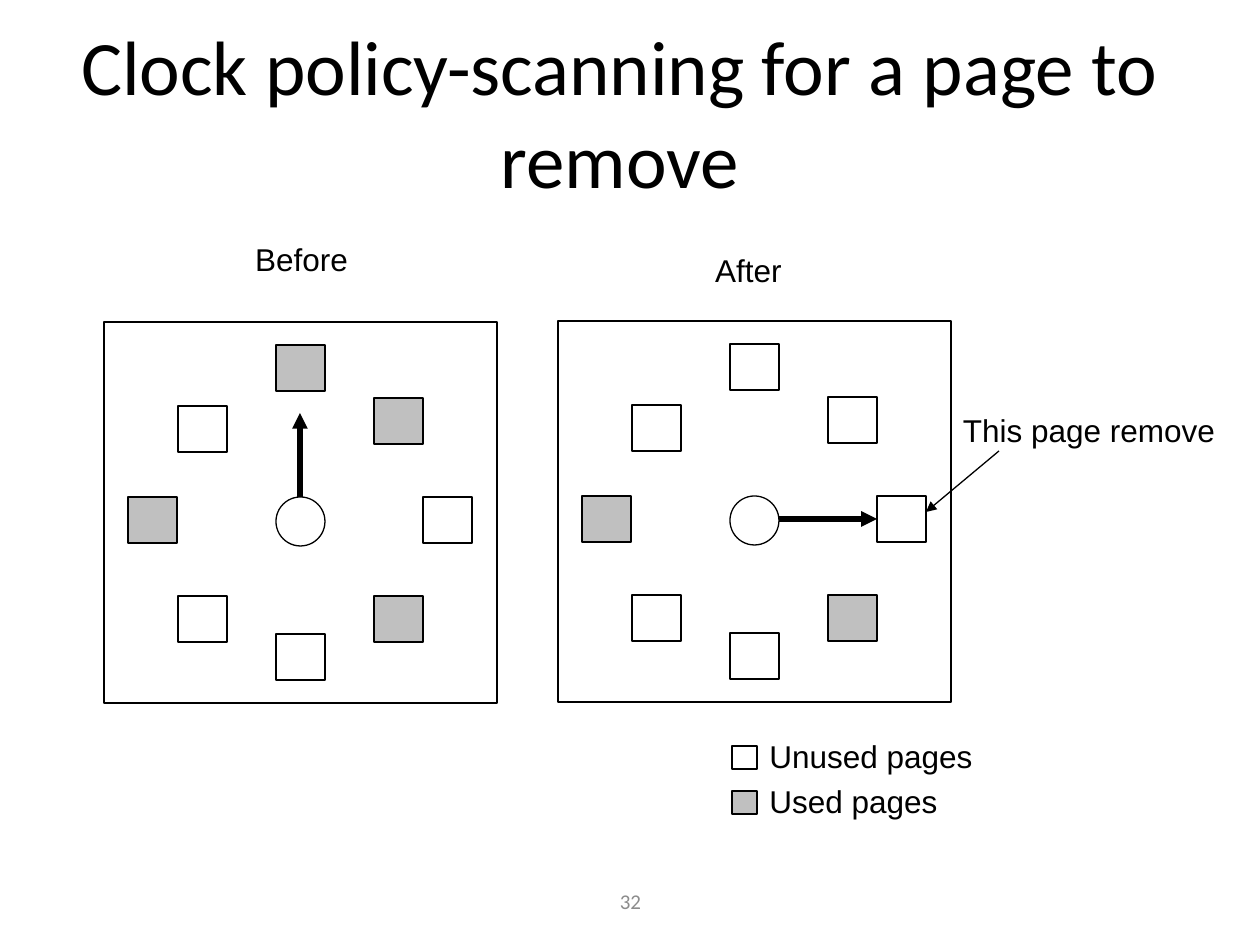
"""Draw the clock policy slide: page rings before and after a scan."""
from dataclasses import dataclass
from typing import NamedTuple

from lxml.etree import SubElement
from pptx import Presentation
from pptx.dml.color import RGBColor
from pptx.enum.shapes import MSO_CONNECTOR, MSO_SHAPE
from pptx.enum.text import MSO_ANCHOR, PP_ALIGN
from pptx.oxml.ns import qn
from pptx.shapes.autoshape import Shape
from pptx.shapes.connector import Connector
from pptx.shapes.shapetree import SlideShapes
from pptx.util import Emu, Pt

SCALE = 914400 / 126


class Box(NamedTuple):
    left: int
    top: int
    width: int
    height: int


class Spot(NamedTuple):
    x: int
    y: int


@dataclass(frozen=True)
class Theme:
    ink: RGBColor = RGBColor(0, 0, 0)
    used: RGBColor = RGBColor(0xC0, 0xC0, 0xC0)
    unused: RGBColor = RGBColor(0xFF, 0xFF, 0xFF)
    faint: RGBColor = RGBColor(0x8C, 0x8C, 0x8C)
    head: str = "Calibri"
    body: str = "Arial"
    title: float = 44
    label: float = 18
    number: float = 12
    thin: float = 0.75
    thick: float = 3


@dataclass(frozen=True)
class Label:
    text: str
    box: Box
    align: PP_ALIGN = PP_ALIGN.CENTER
    anchor: MSO_ANCHOR = MSO_ANCHOR.TOP
    font: str = Theme.body
    size: float = Theme.label
    color: RGBColor = Theme.ink


@dataclass(frozen=True)
class Clock:
    origin: Spot
    used: frozenset[int]


THEME = Theme()
FACE = Spot(393, 381)
PAGE = Spot(49, 46)
HUB = Spot(172, 175)
RING = (
    Spot(172, 23), Spot(270, 76), Spot(319, 175), Spot(270, 274),
    Spot(172, 312), Spot(74, 274), Spot(24, 175), Spot(74, 84),
)
BEFORE = Clock(Spot(104, 322), frozenset({0, 1, 3, 6}))
AFTER = Clock(Spot(558, 321), frozenset({3, 6}))
KEY = (("Unused pages", THEME.unused), ("Used pages", THEME.used))
KEY_TOP, KEY_STEP = 731, 45
LABELS = (
    Label("Clock policy-scanning for a page to remove", Box(53, 32, 1134, 158),
          anchor=MSO_ANCHOR.MIDDLE, font=THEME.head, size=THEME.title),
    Label("Before", Box(203, 234, 197, 55)),
    Label("After", Box(650, 245, 197, 55)),
    Label("This page remove", Box(950, 405, 278, 55)),
    Label("32", Box(431, 876, 399, 50), anchor=MSO_ANCHOR.MIDDLE,
          font=THEME.head, size=THEME.number, color=THEME.faint),
)


def px(count: int) -> Emu:
    return Emu(round(count * SCALE))


def draw_shape(shapes: SlideShapes, kind: MSO_SHAPE, box: Box,
               fill: RGBColor | None = None) -> Shape:
    shape = shapes.add_shape(kind, *map(px, box))
    shape.shadow.inherit = False
    if fill is None:
        shape.fill.background()
    else:
        shape.fill.solid()
        shape.fill.fore_color.rgb = fill
    shape.line.color.rgb = THEME.ink
    shape.line.width = Pt(THEME.thin)
    return shape


def draw_label(shapes: SlideShapes, label: Label) -> None:
    frame = shapes.add_textbox(*map(px, label.box)).text_frame
    frame.word_wrap = True
    frame.vertical_anchor = label.anchor
    para = frame.paragraphs[0]
    para.text = label.text
    para.alignment = label.align
    para.font.name = label.font
    para.font.size = Pt(label.size)
    para.font.color.rgb = label.color


def draw_arrow(shapes: SlideShapes, start: Spot, end: Spot,
               width: float) -> Connector:
    arrow = shapes.add_connector(MSO_CONNECTOR.STRAIGHT, *map(px, start + end))
    arrow.line.color.rgb = THEME.ink
    arrow.line.width = Pt(width)
    SubElement(arrow.line._get_or_add_ln(), qn("a:tailEnd"), type="triangle")
    SubElement(arrow._element.spPr, qn("a:effectLst"))
    return arrow


def draw_clock(shapes: SlideShapes, clock: Clock) -> list[Shape]:
    left, top = clock.origin
    draw_shape(shapes, MSO_SHAPE.OVAL,
               Box(left + HUB.x, top + HUB.y, PAGE.x, PAGE.x), THEME.unused)
    pages = [
        draw_shape(shapes, MSO_SHAPE.RECTANGLE,
                   Box(left + spot.x, top + spot.y, *PAGE),
                   THEME.used if hour in clock.used else THEME.unused)
        for hour, spot in enumerate(RING)
    ]
    draw_shape(shapes, MSO_SHAPE.RECTANGLE, Box(left, top, *FACE))
    return pages


def draw_key(shapes: SlideShapes) -> None:
    for row, (text, fill) in enumerate(KEY):
        top = KEY_TOP + row * KEY_STEP
        draw_shape(shapes, MSO_SHAPE.RECTANGLE, Box(732, top + 15, 25, 23), fill)
        draw_label(shapes, Label(text, Box(757, top, 273, 55), PP_ALIGN.LEFT))


def main() -> None:
    deck = Presentation()
    deck.slide_width, deck.slide_height = px(1260), px(945)
    shapes = deck.slides.add_slide(deck.slide_layouts[6]).shapes
    draw_clock(shapes, BEFORE)
    pages = draw_clock(shapes, AFTER)
    draw_arrow(shapes, Spot(300, 497), Spot(300, 413), THEME.thick)
    hand = draw_arrow(shapes, Spot(779, 519), Spot(877, 519), THEME.thick)
    hand.end_connect(pages[2], 1)
    draw_arrow(shapes, Spot(999, 451), Spot(926, 512), THEME.thin)
    draw_key(shapes)
    for label in LABELS:
        draw_label(shapes, label)
    deck.save("out.pptx")


if __name__ == "__main__":
    main()
